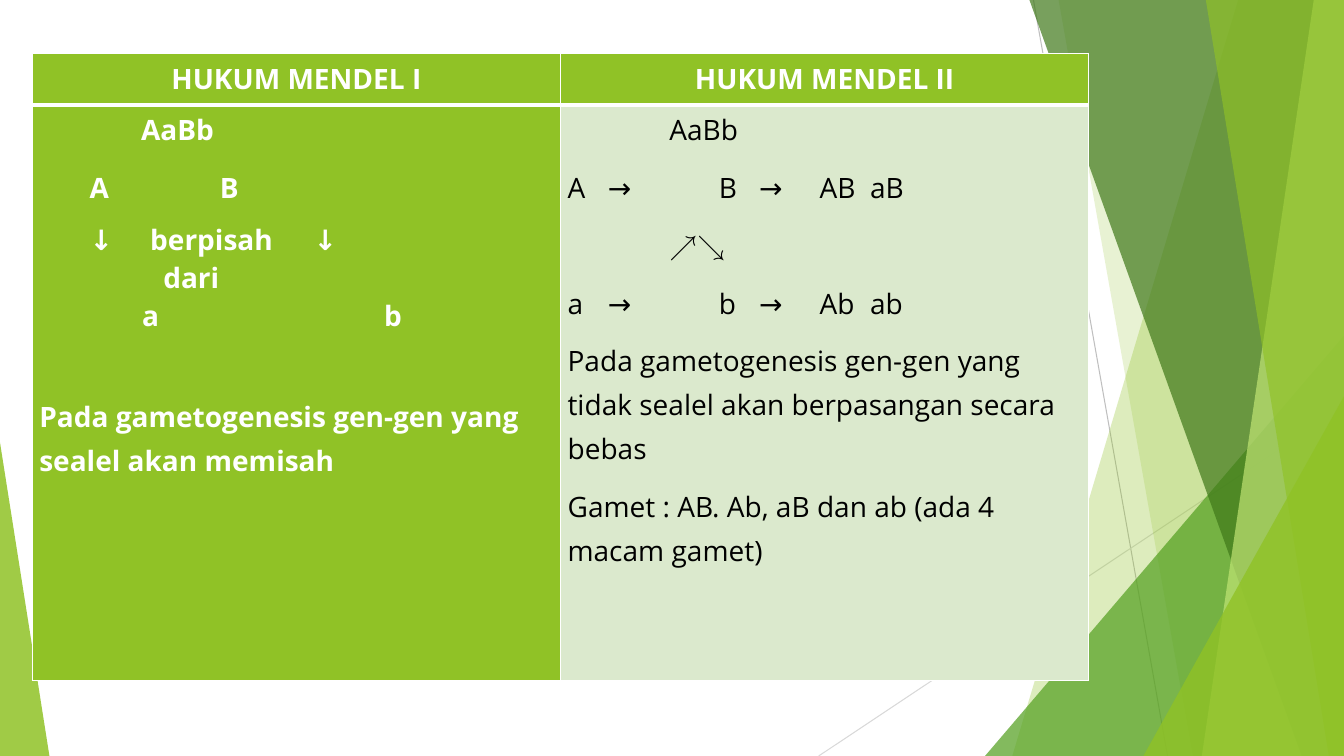
import pptx
import pptx.util
import pptx.dml.color
import pptx.enum.shapes
import pptx.enum.text
import pptx.oxml
import pptx.oxml.ns
from dataclasses import dataclass
from pptx.util import Inches


@dataclass(frozen=True)
class Theme:
    lime: str = "90C226"
    green: str = "54A021"
    forest: str = "3F7819"
    pale_lime: str = "C0E474"
    pale_green: str = "DBE9CD"
    white: str = "FFFFFF"
    black: str = "000000"
    rule_dark: str = "BFBFBF"
    rule_light: str = "D9D9D9"
    font: str = "Open Sans"
    text_size: int = 20
    line_spacing: float = 1.15
    gap: int = 10
    hairline: float = 0.75


THEME = Theme()
WIDTH, HEIGHT = 13.33, 7.5


def rgb(colour):
    return pptx.dml.color.RGBColor.from_string(colour)


def add_child(parent, tag, **attributes):
    child = pptx.oxml.ns.qn(tag)
    child = parent.makeelement(child, {k: str(v) for k, v in attributes.items()})
    parent.append(child)
    return child


# Background facets
def tint(facet, colour, opacity):
    facet.shadow.inherit = False
    facet.line.fill.background()
    facet.fill.solid()
    facet.fill.fore_color.rgb = rgb(colour)
    solid = facet._element.spPr.find(pptx.oxml.ns.qn("a:solidFill"))
    add_child(solid[0], "a:alpha", val=opacity * 1000)


def add_ray(slide, start, end, colour):
    ray = slide.shapes.add_connector(
        pptx.enum.shapes.MSO_CONNECTOR.STRAIGHT,
        *(Inches(v) for v in start + end))
    ray.line.color.rgb = rgb(colour)
    ray.line.width = pptx.util.Pt(THEME.hairline)
    add_child(ray._element.spPr, "a:effectLst")


def add_band(slide, box, top_x, bottom_x, colour, opacity):
    """A facet from a slanted left edge to the right side of the box."""
    left, top, width, height = box
    right, bottom = left + width, top + height
    corners = [(left + top_x, top), (right, top), (right, bottom),
               (left + bottom_x, bottom)]
    corners = [(Inches(x), Inches(y)) for x, y in corners]
    outline = slide.shapes.build_freeform(*corners[0])
    outline.add_line_segments(corners[1:], close=True)
    tint(outline.convert_to_shape(), colour, opacity)


def add_wedge(slide, box, apex, colour, opacity):
    wedge = slide.shapes.add_shape(
        pptx.enum.shapes.MSO_SHAPE.ISOSCELES_TRIANGLE,
        *(Inches(v) for v in box))
    wedge.adjustments[0] = apex
    tint(wedge, colour, opacity)


def add_facets(slide, box):
    left, top, width, height = box
    right, bottom = left + width, top + height

    def corner_wedge(wide, tall, colour, opacity):
        add_wedge(slide, (right - wide, bottom - tall, wide, tall), 1, colour, opacity)

    add_ray(slide, (left + 2.13, top), (left + 3.46, bottom), THEME.rule_dark)
    add_ray(slide, (right, top + 4.03), (left, bottom), THEME.rule_light)
    add_band(slide, box, 4.16, 1.92, THEME.lime, 30)
    add_band(slide, box, 2.38, 3.71, THEME.lime, 20)
    corner_wedge(3.56, 4.17, THEME.green, 72)
    add_band(slide, box, 2.09, 4.79, THEME.forest, 70)
    add_band(slide, box, 4.91, 3.8, THEME.pale_lime, 70)
    add_band(slide, box, 3.84, 5.06, THEME.lime, 65)
    corner_wedge(1.99, 3.57, THEME.lime, 80)


# Comparison table
@dataclass(frozen=True)
class Line:
    text: str
    tabs: tuple = ()
    spacing: float = THEME.line_spacing
    after: int = THEME.gap
    before: int = 0


TIGHT = {"spacing": 1, "after": 0}
CROSS_TABS = (0.4, 1.5, 1.9, 2.5, 3)
HEADINGS = ("HUKUM MENDEL I", "HUKUM MENDEL II")
FIRST_LAW = (
    Line("\tAaBb", (1.01,)),
    Line("\tA\tB", (0.5, 1.79)),
    Line("\t↓\tberpisah\t↓", (0.5, 1.1, 2.72), **TIGHT),
    Line("\tdari", (1.23,), **TIGHT),
    Line("\ta\tb", (1.02, 3.42), **TIGHT),
    Line("Pada gametogenesis gen-gen yang sealel akan memisah", before=41),
)
SECOND_LAW = (
    Line("\tAaBb", (1.01,)),
    Line("A\t→\tB\t→\tAB\taB", CROSS_TABS),
    Line("\t↗↘", (1.01,)),
    Line("a\t→\tb\t→\tAb\tab", CROSS_TABS),
    Line("Pada gametogenesis gen-gen yang tidak sealel akan berpasangan secara bebas"),
    Line("Gamet : AB. Ab, aB dan ab (ada 4 macam gamet)"),
)


def set_borders(cell, bottom):
    properties = cell._tc.get_or_add_tcPr()
    for side, points in (("L", 1), ("R", 1), ("T", 1), ("B", bottom)):
        edge = add_child(properties, "a:ln" + side, w=pptx.util.Pt(points))
        add_child(add_child(edge, "a:solidFill"), "a:srgbClr", val=THEME.white)


def write_cell(cell, lines, fill, colour, bold, align, bottom=1):
    set_borders(cell, bottom)
    cell.fill.solid()
    cell.fill.fore_color.rgb = rgb(fill)
    cell.margin_left = cell.margin_right = Inches(0.07)
    cell.margin_top = cell.margin_bottom = 0
    frame = cell.text_frame
    for index, line in enumerate(lines):
        paragraph = frame.add_paragraph() if index else frame.paragraphs[0]
        paragraph.text = line.text
        paragraph.alignment = align
        paragraph.line_spacing = line.spacing
        paragraph.space_before = pptx.util.Pt(line.before)
        paragraph.space_after = pptx.util.Pt(line.after)
        if line.tabs:
            stops = add_child(paragraph._p.get_or_add_pPr(), "a:tabLst")
            for stop in line.tabs:
                add_child(stops, "a:tab", pos=Inches(stop), algn="l")
        paragraph.font.name = THEME.font
        paragraph.font.size = pptx.util.Pt(THEME.text_size)
        paragraph.font.bold = bold
        paragraph.font.color.rgb = rgb(colour)


def add_comparison(slide, box):
    left, top, width, height = box
    laws = slide.shapes.add_table(
        2, 2, *(Inches(v) for v in (left, top, width, height))).table
    heading_height = 0.51
    laws.rows[0].height = Inches(heading_height)
    laws.rows[1].height = Inches(height - heading_height)
    align = pptx.enum.text.PP_ALIGN
    for column, heading in enumerate(HEADINGS):
        write_cell(laws.cell(0, column), [Line(heading, after=0)],
                   THEME.lime, THEME.white, True, align.CENTER, bottom=3)
    write_cell(laws.cell(1, 0), FIRST_LAW, THEME.lime, THEME.white, True, align.LEFT)
    write_cell(laws.cell(1, 1), SECOND_LAW, THEME.pale_green, THEME.black, False,
               align.LEFT)


# Slide
deck = pptx.Presentation()
deck.slide_width, deck.slide_height = Inches(WIDTH), Inches(HEIGHT)
mendel = deck.slides.add_slide(deck.slide_layouts[6])
add_facets(mendel, (8.12, 0, WIDTH - 8.12, HEIGHT))
add_wedge(mendel, (0, 4.39, 0.49, HEIGHT - 4.39), 0, THEME.lime, 85)
add_comparison(mendel, (0.32, 0.53, 10.48, 6.22))
deck.save("out.pptx")
